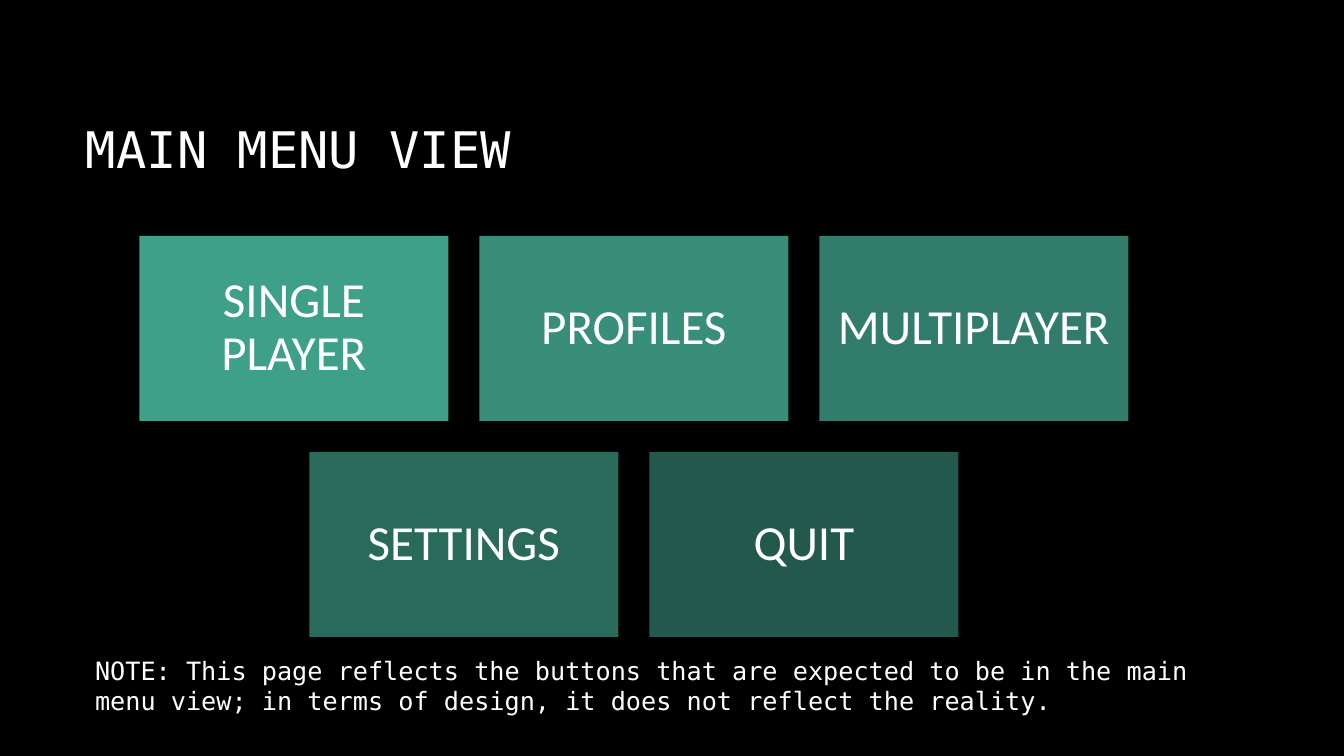
"""Builds the main menu view slide with its five buttons."""
from lxml import etree
from pptx import Presentation
from pptx.dml.color import RGBColor
from pptx.enum.shapes import MSO_SHAPE
from pptx.enum.text import MSO_ANCHOR, PP_ALIGN
from pptx.oxml.ns import qn
from pptx.util import Pt

RECTANGLE = MSO_SHAPE.RECTANGLE
TOP, MIDDLE = MSO_ANCHOR.TOP, MSO_ANCHOR.MIDDLE
LEFT, CENTER = PP_ALIGN.LEFT, PP_ALIGN.CENTER

TITLE = "MAIN MENU VIEW"
BUTTON_ROWS = [
    ["SINGLE PLAYER", "PROFILES", "MULTIPLAYER"],
    ["SETTINGS", "QUIT"],
]
NOTE = (
    "NOTE: This page reflects the buttons that are expected to be in the main "
    "menu view; in terms of design, it does not reflect the reality."
)

BLACK, WHITE, GREEN = "000000", "FFFFFF", "46B298"
MONO, SANS = "DejaVu Sans Mono", "Calibri"

SLIDE_WIDTH, SLIDE_HEIGHT = 1344, 756
EMU_PER_PX = 12192000 / SLIDE_WIDTH
BUTTON_WIDTH, BUTTON_HEIGHT, BUTTON_GAP = 309, 185, 31
BUTTONS_CENTER, BUTTONS_TOP = 634, 236
FIRST_OPACITY, OPACITY_STEP = 90, 10


def px(length):
    return round(length * EMU_PER_PX)


def color(value):
    return RGBColor.from_string(value)


def write_text(shape, text, *, font, size, align=LEFT, anchor=TOP,
               margins=(10, 5), line_spacing=None):
    frame = shape.text_frame
    frame.word_wrap = True
    frame.vertical_anchor = anchor
    frame.margin_left = frame.margin_right = px(margins[0])
    frame.margin_top = frame.margin_bottom = px(margins[1])
    paragraph = frame.paragraphs[0]
    paragraph.alignment = align
    paragraph.line_spacing = line_spacing
    run = paragraph.add_run()
    run.text = text
    run.font.name = font
    run.font.size = Pt(size)
    run.font.color.rgb = color(WHITE)


def add_text(slide, box, text, **text_format):
    shape = slide.shapes.add_textbox(*map(px, box))
    write_text(shape, text, **text_format)


def add_button(slide, left, top, label, opacity):
    box = (left, top, BUTTON_WIDTH, BUTTON_HEIGHT)
    shape = slide.shapes.add_shape(RECTANGLE, *map(px, box))
    shape.shadow.inherit = False
    shape.line.fill.background()
    shape.fill.solid()
    shape.fill.fore_color.rgb = color(GREEN)
    fill_color = shape.fill._xPr.find(qn("a:solidFill"))[0]
    etree.SubElement(fill_color, qn("a:alpha"), val=str(opacity * 1000))
    write_text(shape, label, font=SANS, size=35, align=CENTER, anchor=MIDDLE,
               margins=(15, 15), line_spacing=0.9)


def add_buttons(slide):
    opacity = FIRST_OPACITY
    for row, labels in enumerate(BUTTON_ROWS):
        row_width = len(labels) * (BUTTON_WIDTH + BUTTON_GAP) - BUTTON_GAP
        row_left = BUTTONS_CENTER - row_width / 2
        top = BUTTONS_TOP + row * (BUTTON_HEIGHT + BUTTON_GAP)
        for column, label in enumerate(labels):
            left = row_left + column * (BUTTON_WIDTH + BUTTON_GAP)
            add_button(slide, left, top, label, opacity)
            opacity -= OPACITY_STEP


def main():
    presentation = Presentation()
    presentation.slide_width = px(SLIDE_WIDTH)
    presentation.slide_height = px(SLIDE_HEIGHT)
    slide = presentation.slides.add_slide(presentation.slide_layouts[6])
    slide.background.fill.solid()
    slide.background.fill.fore_color.rgb = color(BLACK)
    add_text(slide, (76, 68, 1117, 160), TITLE, font=MONO, size=36, anchor=MIDDLE)
    add_buttons(slide)
    add_text(slide, (85, 650, 1157, 72), NOTE, font=MONO, size=18)
    presentation.save("out.pptx")


if __name__ == "__main__":
    main()
